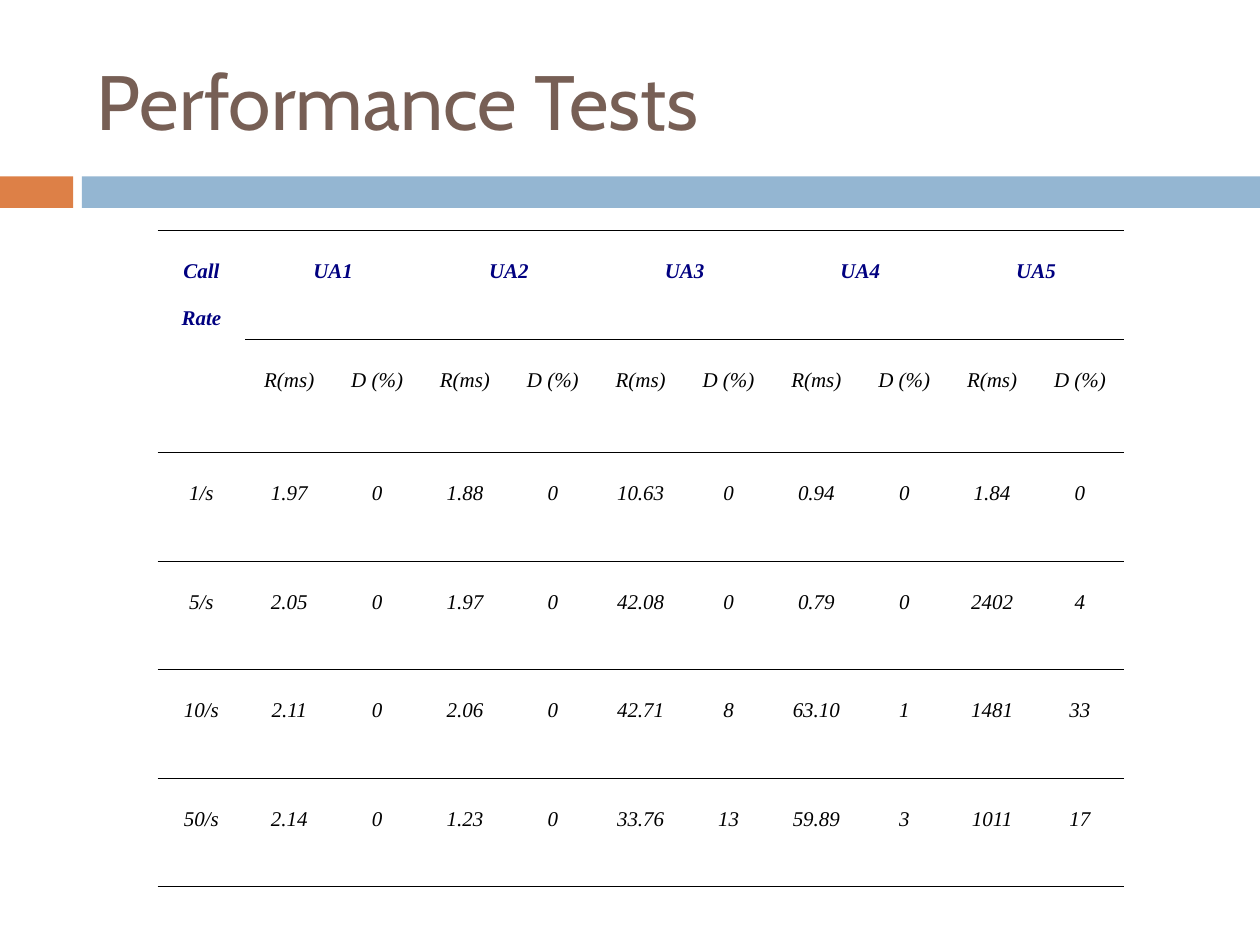
from typing import NamedTuple, Optional

from lxml.etree import SubElement
from pptx import Presentation
from pptx.dml.color import RGBColor
from pptx.enum.shapes import MSO_SHAPE
from pptx.enum.text import MSO_ANCHOR, PP_ALIGN
from pptx.oxml.ns import qn
from pptx.util import Inches, Pt

COLORS = {
    "orange": "DD8047",
    "blue": "94B6D2",
    "title": "775F55",
    "header": "000080",
    "text": "000000",
}
TITLE_FONT, TABLE_FONT = "Cabin", "Times New Roman"


class Bar(NamedTuple):
    left: float
    width: float
    color: str


BARS = [Bar(0, 0.58, "orange"), Bar(0.65, 9.35, "blue")]

AGENTS = ["UA1", "UA2", "UA3", "UA4", "UA5"]
RESULTS = [
    ["1/s", "1.97", "0", "1.88", "0", "10.63", "0", "0.94", "0", "1.84", "0"],
    ["5/s", "2.05", "0", "1.97", "0", "42.08", "0", "0.79", "0", "2402", "4"],
    ["10/s", "2.11", "0", "2.06", "0", "42.71", "8", "63.10", "1", "1481", "33"],
    ["50/s", "2.14", "0", "1.23", "0", "33.76", "13", "59.89", "3", "1011", "17"],
]
HEADER = ["Call Rate"] + [text for agent in AGENTS for text in (agent, "")]
SUBHEADER = [""] + ["R(ms)", "D (%)"] * len(AGENTS)
ROWS = [HEADER, SUBHEADER] + RESULTS

# Widths in points of the horizontal rules, from the top edge to the bottom edge
RULES = [0.75, 0.75, 0.45, 0.45, 0.45, 0.45, 0.75]
TABLE_WIDTH, TABLE_HEIGHT = 7.67, 5.17


def write_text(text_frame, text: str, *, font: str, size: float, color: str,
               bold: bool = False, italic: bool = False,
               align=PP_ALIGN.LEFT, line_spacing: float = 1.0) -> None:
    paragraph = text_frame.paragraphs[0]
    paragraph.alignment = align
    paragraph.line_spacing = line_spacing
    run = paragraph.add_run()
    run.text = text
    run.font.name = font
    run.font.size = Pt(size)
    run.font.bold = bold
    run.font.italic = italic
    run.font.color.rgb = RGBColor.from_string(COLORS[color])


def add_bar(slide, bar: Bar) -> None:
    shape = slide.shapes.add_shape(MSO_SHAPE.RECTANGLE, Inches(bar.left), Inches(1.4),
                                   Inches(bar.width), Inches(0.25))
    shape.shadow.inherit = False
    shape.fill.solid()
    shape.fill.fore_color.rgb = RGBColor.from_string(COLORS[bar.color])
    shape.line.fill.background()


def set_borders(cell, top: Optional[float], bottom: Optional[float]) -> None:
    """Draw the rules above and below a cell and leave its sides open."""
    properties = cell._tc.get_or_add_tcPr()
    for edge, width in (("lnL", None), ("lnR", None), ("lnT", top), ("lnB", bottom)):
        line = SubElement(properties, qn(f"a:{edge}"))
        if width is None:
            SubElement(line, qn("a:noFill"))
        else:
            line.set("w", str(Pt(width)))
            fill = SubElement(line, qn("a:solidFill"))
            SubElement(fill, qn("a:srgbClr")).set("val", COLORS["text"])


def add_results_table(slide) -> None:
    row_count, column_count = len(ROWS), len(HEADER)
    table = slide.shapes.add_table(row_count, column_count, Inches(1.25), Inches(1.83),
                                   Inches(TABLE_WIDTH), Inches(TABLE_HEIGHT)).table
    table.first_row = table.horz_banding = False
    for column in table.columns:
        column.width = Inches(TABLE_WIDTH / column_count)
    for row in table.rows:
        row.height = Inches(TABLE_HEIGHT / row_count)

    # Merged headings
    table.cell(0, 0).merge(table.cell(1, 0))
    for column in range(1, column_count, 2):
        table.cell(0, column).merge(table.cell(0, column + 1))

    # Cell text and rules
    for row, texts in enumerate(ROWS):
        for column, text in enumerate(texts):
            cell = table.cell(row, column)
            top, bottom = RULES[row], RULES[row + 1]
            if column == 0 and row < 2:
                top, bottom = (None if cell.is_spanned else top), RULES[2]
            set_borders(cell, top, bottom)
            cell.fill.background()
            cell.margin_left = cell.margin_right = Inches(0.08)
            if text:
                write_text(cell.text_frame, text, font=TABLE_FONT, size=12,
                           color="header" if row == 0 else "text", bold=row == 0,
                           italic=True, align=PP_ALIGN.CENTER, line_spacing=2.0)


def main() -> None:
    presentation = Presentation()
    presentation.slide_width, presentation.slide_height = Inches(10), Inches(7.5)
    slide = presentation.slides.add_slide(presentation.slide_layouts[6])

    # Divider under the title
    for bar in BARS:
        add_bar(slide, bar)

    # Title
    title = slide.shapes.add_textbox(Inches(0.67), Inches(0.25), Inches(8.92), Inches(1.08))
    title.text_frame.word_wrap = True
    title.text_frame.vertical_anchor = MSO_ANCHOR.MIDDLE
    write_text(title.text_frame, "Performance Tests", font=TITLE_FONT, size=44, color="title")

    add_results_table(slide)
    presentation.save("out.pptx")


if __name__ == "__main__":
    main()
